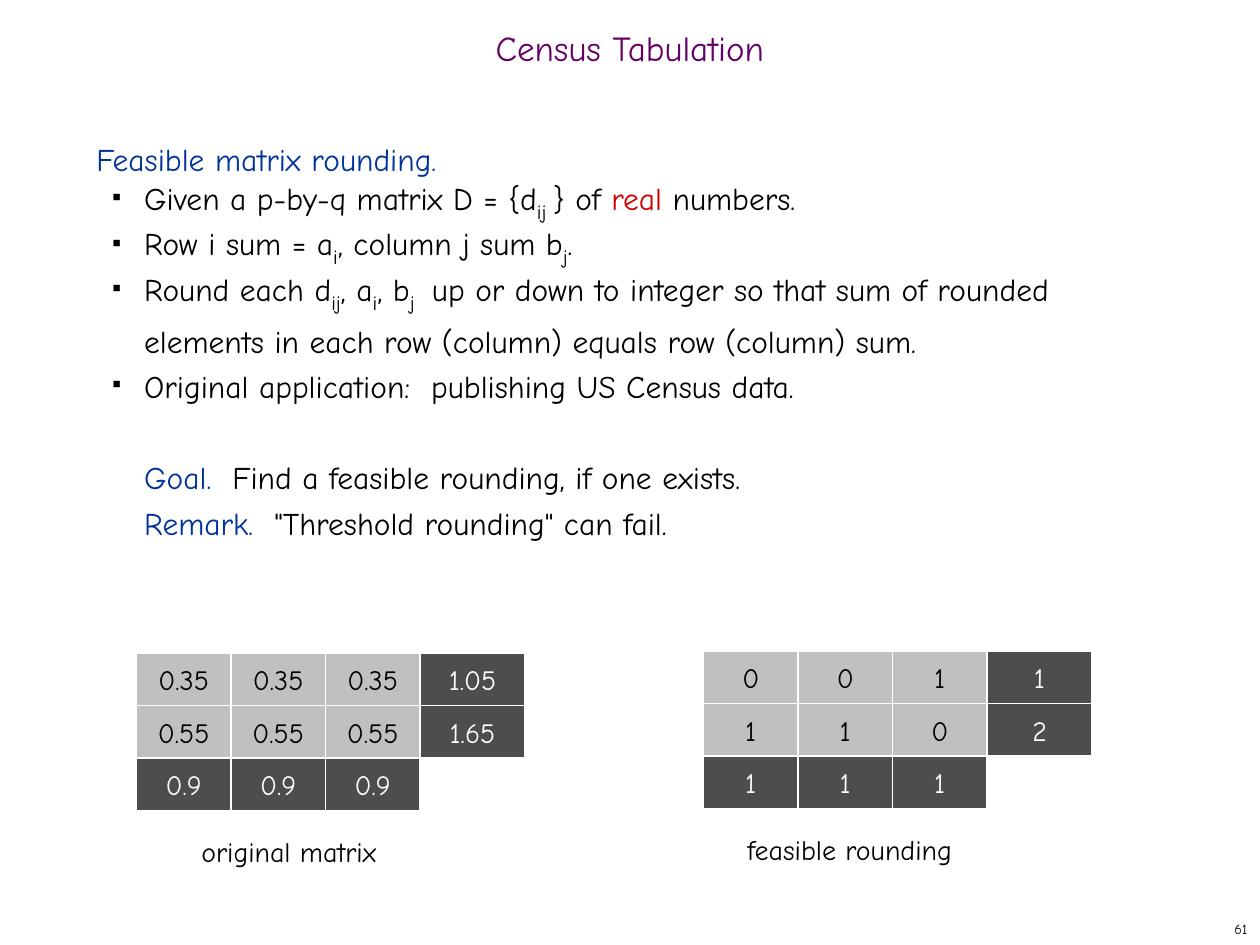
import pptx
import pptx.util
import pptx.dml.color
import pptx.enum.shapes
import pptx.enum.text
import pptx.oxml

HUES = {
    "ink": "000000", "white": "FFFFFF", "plum": "660066", "blue": "003399",
    "red": "CC0000", "dark": "4D4D4D", "light": "C0C0C0",
}
ALIGN = pptx.enum.text.PP_ALIGN
ANCHOR = pptx.enum.text.MSO_ANCHOR
Pt = pptx.util.Pt


class Deck:
    font = "Comic Neue"
    cols, rows = 120, 90

    def __init__(self):
        self.file = pptx.Presentation()
        self.file.slide_width = pptx.util.Inches(10)
        self.file.slide_height = pptx.util.Inches(7.5)
        self.slide = self.file.slides.add_slide(self.file.slide_layouts[6])

    def place(self, x, y, wide, high):
        across = self.file.slide_width / self.cols
        down = self.file.slide_height / self.rows
        return [round(n) for n in (x * across, y * down, wide * across, high * down)]

    def hue(self, name):
        return pptx.dml.color.RGBColor.from_string(HUES[name])

    def run(self, para, text, size, hue="ink", sub=False):
        run = para.add_run()
        run.text = text
        run.font.name = self.font
        run.font.size = Pt(size)
        run.font.color.rgb = self.hue(hue)
        if sub:
            run.font._element.set("baseline", "-25000")

    def box(self, area, align=ALIGN.LEFT, anchor=ANCHOR.TOP):
        frame = self.slide.shapes.add_textbox(*self.place(*area)).text_frame
        frame.word_wrap = True
        frame.vertical_anchor = anchor
        frame.paragraphs[0].alignment = align
        return frame

    def label(self, area, text, size, hue="ink", align=ALIGN.LEFT, anchor=ANCHOR.TOP):
        para = self.box(area, align, anchor).paragraphs[0]
        self.run(para, text, size, hue)
        return para

    def bullet(self, para):
        props = para._p.get_or_add_pPr()
        props.set("indent", str(pptx.util.Inches(-0.25)))
        space = 'xmlns:a="http://schemas.openxmlformats.org/drawingml/2006/main"'
        for mark in (
            f'<a:buClr {space}><a:srgbClr val="{HUES["ink"]}"/></a:buClr>',
            f'<a:buSzPct {space} val="35000"/>',
            f'<a:buChar {space} char="■"/>',
        ):
            props.append(pptx.oxml.parse_xml(mark))

    def body(self, area, lines):
        frame = self.box(area)
        for num, (kind, gap, runs) in enumerate(lines):
            para = frame.add_paragraph() if num else frame.paragraphs[0]
            if kind != "head":
                para._p.get_or_add_pPr().set("marL", str(pptx.util.Inches(0.38)))
            if kind == "item":
                self.bullet(para)
            para.line_spacing = Pt(26)
            para.space_before = Pt(gap)
            for text, style in runs:
                if style == "sub":
                    self.run(para, text, 20, sub=True)
                else:
                    self.run(para, text, 18, style)

    def cell(self, area, text, fill, hue):
        kind = pptx.enum.shapes.MSO_SHAPE.RECTANGLE
        shape = self.slide.shapes.add_shape(kind, *self.place(*area))
        shape.shadow.inherit = False
        shape.fill.solid()
        shape.fill.fore_color.rgb = self.hue(fill)
        shape.line.color.rgb = self.hue("white")
        shape.line.width = Pt(0.75)
        frame = shape.text_frame
        frame.word_wrap = False
        frame.vertical_anchor = ANCHOR.MIDDLE
        frame.paragraphs[0].alignment = ALIGN.CENTER
        self.run(frame.paragraphs[0], text, 16, hue)

    def matrix(self, left, top, data):
        wide, high = 9, 4.98
        for row, line in enumerate(data):
            for col, text in enumerate(line):
                total = row == 2 or col == 3
                area = (left + col * wide, top + row * high, 10 if col == 3 else wide, high)
                fill, hue = ("dark", "white") if total else ("light", "ink")
                self.cell(area, text, fill, hue)


def main():
    deck = Deck()
    title = deck.label((0, 2, 120, 6), "Census Tabulation", 20, "plum",
                       ALIGN.CENTER, ANCHOR.MIDDLE)
    title.line_spacing = 0.7

    deck.body((8, 12, 103, 71), [
        ("head", 0, [("Feasible matrix rounding.", "blue")]),
        ("item", 0, [("Given a p-by-q matrix D = {d", "ink"), ("ij ", "sub"),
                     ("} of ", "ink"), ("real", "red"), (" numbers.", "ink")]),
        ("item", 0, [("Row i sum = a", "ink"), ("i", "sub"),
                     (", column j sum b", "ink"), ("j", "sub"), (".", "ink")]),
        ("item", 0, [("Round each d", "ink"), ("ij", "sub"), (", a", "ink"),
                     ("i", "sub"), (", b", "ink"), ("j ", "sub"),
                     (" up or down to integer so that sum of rounded elements "
                      "in each row (column) equals row (column) sum.", "ink")]),
        ("item", 0, [("Original application:  publishing US Census data.", "ink")]),
        ("note", 26, [("Goal.  ", "blue"),
                      ("Find a feasible rounding, if one exists.", "ink")]),
        ("note", 0, [("Remark.  ", "blue"),
                     ('"Threshold rounding" can fail.', "ink")]),
    ])

    deck.matrix(13, 62.25, [
        ["0.35", "0.35", "0.35", "1.05"],
        ["0.55", "0.55", "0.55", "1.65"],
        ["0.9", "0.9", "0.9"],
    ])
    deck.matrix(67, 62.05, [
        ["0", "0", "1", "1"],
        ["1", "1", "0", "2"],
        ["1", "1", "1"],
    ])
    deck.label((18, 78.85, 29, 4.4), "original matrix", 16)
    deck.label((70, 78.7, 33, 4.4), "feasible rounding", 16)
    deck.label((95, 87, 25, 3), "61", 8, align=ALIGN.RIGHT, anchor=ANCHOR.MIDDLE)
    deck.file.save("out.pptx")


if __name__ == "__main__":
    main()
